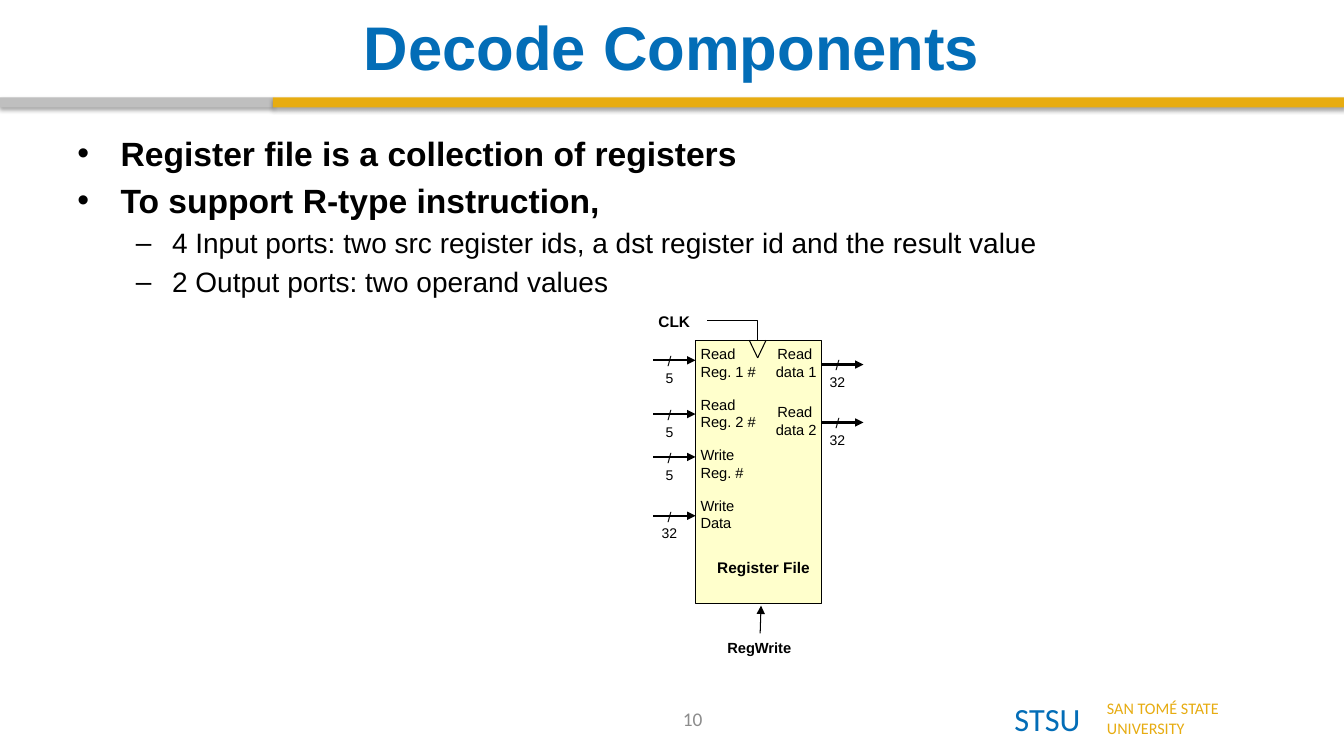
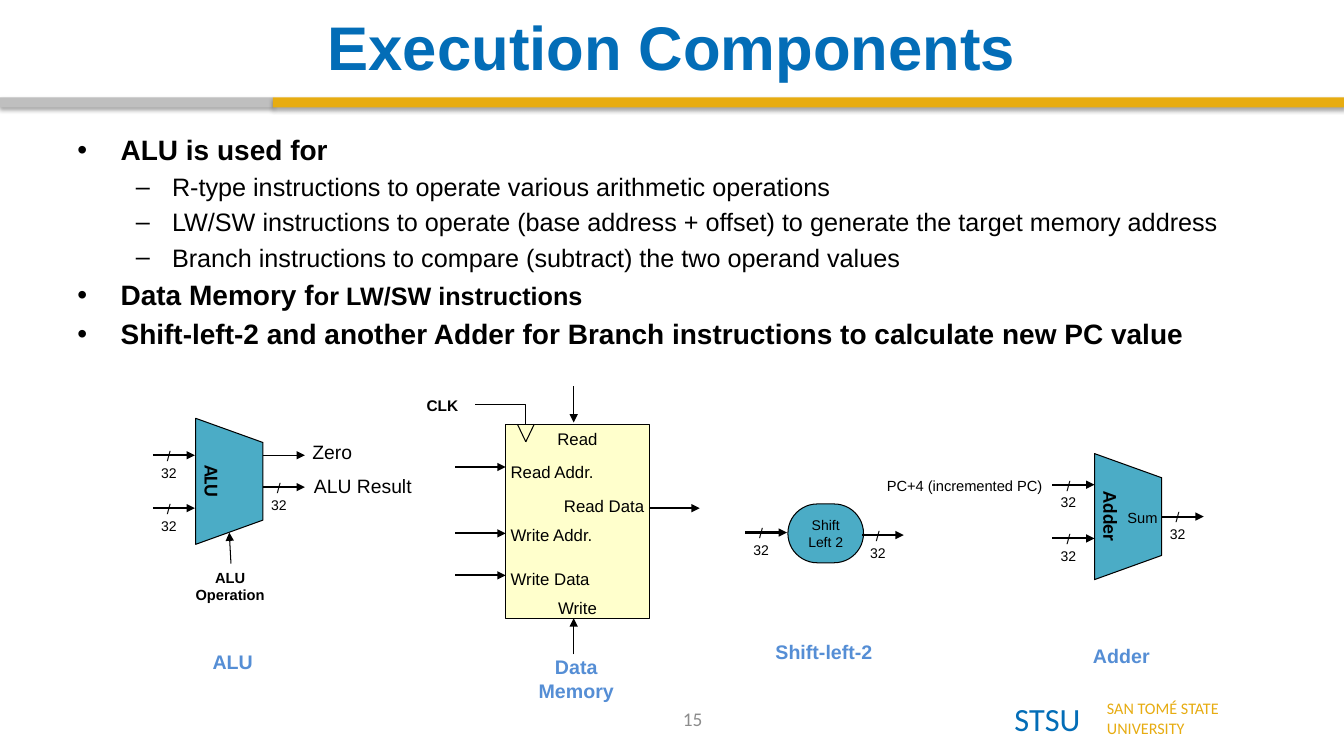
import pptx
import pptx.dml.color
import pptx.enum.shapes
import pptx.enum.text
import pptx.oxml.ns
import pptx.util
from lxml import etree

# Square grid: 160 columns by 90 rows, 12 to the inch
COLS, ROWS = 160, 90
UNIT = pptx.util.Inches(1) / 12
INK = {
    "blue": "036DB7", "gold": "E7AC11", "grey": "BFBFBF", "number": "8C8C8C",
    "black": "000000", "store": "FFFFCC", "logic": "4BACC6", "caption": "558ED5",
}
ALIGN = pptx.enum.text.PP_ALIGN
SIDE = {"l": ALIGN.LEFT, "c": ALIGN.CENTER, "r": ALIGN.RIGHT}
MIDDLE = pptx.enum.text.MSO_ANCHOR.MIDDLE
SHAPE = pptx.enum.shapes.MSO_SHAPE
LINK = pptx.enum.shapes.MSO_CONNECTOR
WIRE = 5       # length of a bus arrow
TIGHT = (0.05,) * 4
LOOSE = (0.1, 0.05, 0.1, 0.05)


# Basic helpers
def grid(*cells):
    return [round(cell * UNIT) for cell in cells]


def tint(name):
    return pptx.dml.color.RGBColor.from_string(INK[name])


def child(node, tag, **attrs):
    return etree.SubElement(node, pptx.oxml.ns.qn("a:" + tag), attrs)


def style(run, size, ink="black", bold=False, font="Arial"):
    run.font.name, run.font.size = font, pptx.util.Pt(size)
    run.font.bold = bold
    run.font.color.rgb = tint(ink)


def write(frame, text, size, side="l", inset=LOOSE, **look):
    """Fill a frame, one paragraph a line, in a single style."""
    frame.word_wrap = True
    (frame.margin_left, frame.margin_top,
     frame.margin_right, frame.margin_bottom) = map(pptx.util.Inches, inset)
    frame.text = text
    for para in frame.paragraphs:
        para.alignment = SIDE[side]
        for run in para.runs:
            style(run, size, **look)


def label(slide, box, text, size=10.5, side="l", **look):
    note = slide.shapes.add_textbox(*grid(*box))
    write(note.text_frame, text, size, side, **look)
    return note


def block(slide, kind, box, fill, edge=True):
    shape = slide.shapes.add_shape(kind, *grid(*box))
    shape.shadow.inherit = False
    shape.fill.solid()
    shape.fill.fore_color.rgb = tint(fill)
    if edge:
        shape.line.color.rgb = tint("black")
        shape.line.width = pptx.util.Pt(0.75)
    else:
        shape.line.fill.background()
    return shape


def wire(slide, start, end, width=0.75, head=True, kind=LINK.STRAIGHT):
    link = slide.shapes.add_connector(kind, *grid(*start, *end))
    link.line.color.rgb = tint("black")
    link.line.width = pptx.util.Pt(width)
    props = link.element.spPr
    if head:
        child(props.find(pptx.oxml.ns.qn("a:ln")), "tailEnd", type="triangle")
    child(props, "effectLst")
    return link


# Diagram parts
def bus(slide, x, y, bits):
    """A thick arrow with a slash and its width in bits."""
    wire(slide, (x, y), (x + WIRE, y), 1.5)
    label(slide, (x - 0.1, y - 1.5, 4, 5.3), f"/\n{bits}", 10, "c",
          inset=(0.03, 0.05, 0.03, 0.05))


def clock(slide, x, top):
    """Clock input: label, elbow line and the notch on the block's edge."""
    for side in (-1, 1):
        wire(slide, (x + side, top), (x, top + 2.1), head=False)
    label(slide, (x - 13, top - 3.9, 7, 3.5), "CLK", 11, bold=True)
    bend = wire(slide, (x - 6, top - 2.3), (x, top), head=False, kind=LINK.ELBOW)
    geom = bend.element.spPr.find(pptx.oxml.ns.qn("a:prstGeom"))
    guides = geom.find(pptx.oxml.ns.qn("a:avLst"))
    if guides is None:
        guides = child(geom, "avLst")
    child(guides, "gd", name="adj1", fmla="val 100000")


def funnel(slide, x, y, text):
    """Trapezoid turned on its side, centred at x, y."""
    shape = block(slide, SHAPE.TRAPEZOID, (x - 7.5, y - 4, 15, 8), "logic")
    shape.rotation = 90
    shape.adjustments[0] = 0.36
    write(shape.text_frame, text, 14, "c", (0.1, 0.3, 0.1, 0.05),
          bold=True, font="Calibri")
    shape.text_frame.vertical_anchor = MIDDLE


def caption(slide, x, y, text):
    label(slide, (x - 8, y, 16, 4), text, 14, "c", ink="caption", bold=True)


# Shared frame: title, bands, footer
def band(slide, left, right, ink):
    bar = block(slide, SHAPE.RECTANGLE, (left, 11.6, right - left, 1.2), ink, False)
    glow = bar.element.spPr.find(pptx.oxml.ns.qn("a:effectLst"))
    drop = child(glow, "outerShdw", blurRad="39000", dist="23000",
                 dir="5400000", rotWithShape="0")
    child(child(drop, "srgbClr", val=INK["black"]), "alpha", val="35000")


def place(holder, *box):
    holder.left, holder.top, holder.width, holder.height = grid(*box)


def fill_body(frame, items):
    frame.auto_size = pptx.enum.text.MSO_AUTO_SIZE.NONE
    for row, (level, parts) in enumerate(items):
        para = frame.add_paragraph() if row else frame.paragraphs[0]
        para.level = level
        left, hang = ((0.43, 0.43), (0.94, 0.36))[level]
        props = para._p.get_or_add_pPr()
        props.set("marL", str(pptx.util.Inches(left)))
        props.set("indent", str(-pptx.util.Inches(hang)))
        for text, size in parts:
            run = para.add_run()
            run.text = text
            style(run, size, bold=level == 0)


def page(deck, title, number, items):
    slide = deck.slides.add_slide(deck.slide_layouts[1])
    band(slide, 0, 32.5, "grey")
    band(slide, 32.5, COLS, "gold")
    head, body = slide.placeholders
    place(head, 8, 1, COLS - 16, 9)
    write(head.text_frame, title, 44, "c", ink="blue", bold=True)
    head.text_frame.vertical_anchor = MIDDLE
    place(body, 8, 15.2, COLS - 16, 65)
    fill_body(body.text_frame, items)
    foot = label(slide, (63.8, 83.2, 37.3, 4.8), number, 13.8, "c",
                 ink="number", font="Calibri")
    foot.text_frame.vertical_anchor = MIDDLE
    label(slide, (119.6, 82.6, 12, 5.9), "STSU", 23.1, ink="blue",
          font="Calibri")
    label(slide, (130.6, 82.6, 20, 5.9), "SAN TOMÉ STATE\nUNIVERSITY", 11.5,
          ink="gold", font="Calibri")
    return slide


# Slide contents
def decode(deck):
    slide = page(deck, "Decode Components", "10", [
        (0, [("Register file is a collection of registers", 24)]),
        (0, [("To support R-type instruction,", 24)]),
        (1, [("4 Input ports: two src register ids, a dst register id "
              "and the result value", 20)]),
        (1, [("2 Output ports: two operand values", 20)]),
    ])
    left, top, wide = 82.8, 40.5, 15
    block(slide, SHAPE.RECTANGLE, (left, top, wide, 31.4), "store")
    ports = ["Read\nReg. 1 #", "Read\nReg. 2 #", "Write\nReg. #", "Write\nData"]
    for row, text in enumerate(ports):
        label(slide, (left, top + 6 * row, 10, 5.4), text, inset=TIGHT)
    for row, text in enumerate(["Read \ndata 1", "Read \ndata 2"]):
        label(slide, (left + 8, top + 6.9 * row, 7, 5.4), text, side="r",
              inset=TIGHT)
        bus(slide, left + wide, 43.4 + 6.9 * row, 32)
    for y, bits in ((42.9, 5), (49.3, 5), (54.4, 5), (61.4, 32)):
        bus(slide, left - WIRE, y, bits)
    label(slide, (83.4, 65.8, wide, 3.5), "Register File", 11, "c", bold=True)
    label(slide, (85.3, 75.4, 10.2, 3.3), "RegWrite", side="c", inset=TIGHT,
          bold=True)
    wire(slide, (90.5, 75.4), (90.6, 72.1))
    clock(slide, 90.2, top)


def memory(slide):
    left, top, wide, high = 60.2, 50.5, 17.1, 23.1
    block(slide, SHAPE.RECTANGLE, (left, top, wide, high), "store")
    for y, text, side in ((50.5, "Read", "c"), (54.4, "Read Addr.", "l"),
                          (58.4, "Read Data", "r"), (61.9, "Write Addr.", "l"),
                          (67.1, "Write Data", "l"), (70.6, "Write", "c")):
        label(slide, (left, y, wide, 3.6), text, 12, side, inset=TIGHT)
    for x, y in ((left - 6, 55.6), (left - 6, 63.5), (left - 6, 68.5),
                 (left + wide, 60.5)):
        wire(slide, (x, y), (x + 6, y), 1.5)
    wire(slide, (68.3, 46), (68.3, top - 0.2))
    wire(slide, (68.3, 77.9), (68.3, top + high))
    clock(slide, 62.6, top)


def execute(deck):
    slide = page(deck, "Execution Components", "15", [
        (0, [("ALU is used for", 20)]),
        (1, [("R-type instructions to operate various arithmetic operations", 18)]),
        (1, [("LW/SW instructions to operate (base address + offset) "
              "to generate the target memory address", 18)]),
        (1, [("Branch instructions to compare (subtract) "
              "the two operand values", 18)]),
        (0, [("Data Memory f", 20), ("or LW/SW instructions", 18)]),
        (0, [("Shift-left-2 and another Adder for Branch instructions "
              "to calculate new PC value", 20)]),
    ])
    memory(slide)
    # ALU, adder and shifter
    funnel(slide, 27.3, 57.3, "ALU")
    funnel(slide, 134.3, 61.5, "Adder")
    shift = block(slide, SHAPE.ROUNDED_RECTANGLE, (93.8, 60, 9, 7), "logic")
    shift.adjustments[0] = 0.5
    write(shift.text_frame, "Shift\nLeft 2", 10, "c", (0,) * 4)
    shift.text_frame.vertical_anchor = MIDDLE
    for x, y in ((18.2, 54.2), (18.2, 60.5), (31.3, 58), (125.3, 57.7),
                 (125.3, 64.1), (138.3, 61.5), (88.7, 63.4), (102.6, 63.7)):
        bus(slide, x, y, 32)
    # Signal names
    wire(slide, (31.3, 54.2), (36.3, 54.2))
    label(slide, (36, 51.8, 9, 4), "Zero", 13.8)
    label(slide, (36.2, 55.9, 16, 4), "ALU Result", 13.8)
    label(slide, (22.3, 67.1, 10.2, 5.4), "ALU\nOperation", side="c",
          inset=TIGHT, bold=True)
    wire(slide, (27.5, 67.1), (27.3, 63.4))
    label(slide, (132.4, 60, 6, 3.3), "Sum", side="r", inset=TIGHT)
    label(slide, (103.7, 56.2, 21, 3.3), "PC+4 (incremented PC)", side="r",
          inset=TIGHT)
    for x, y, text in ((27.7, 76.8, "ALU"), (68.6, 77.4, "Data Memory"),
                       (98.1, 75.6, "Shift-left-2"), (133.5, 76.1, "Adder")):
        caption(slide, x, y, text)


def main():
    deck = pptx.Presentation()
    deck.slide_width, deck.slide_height = grid(COLS, ROWS)
    decode(deck)
    execute(deck)
    deck.save("out.pptx")


if __name__ == "__main__":
    main()
